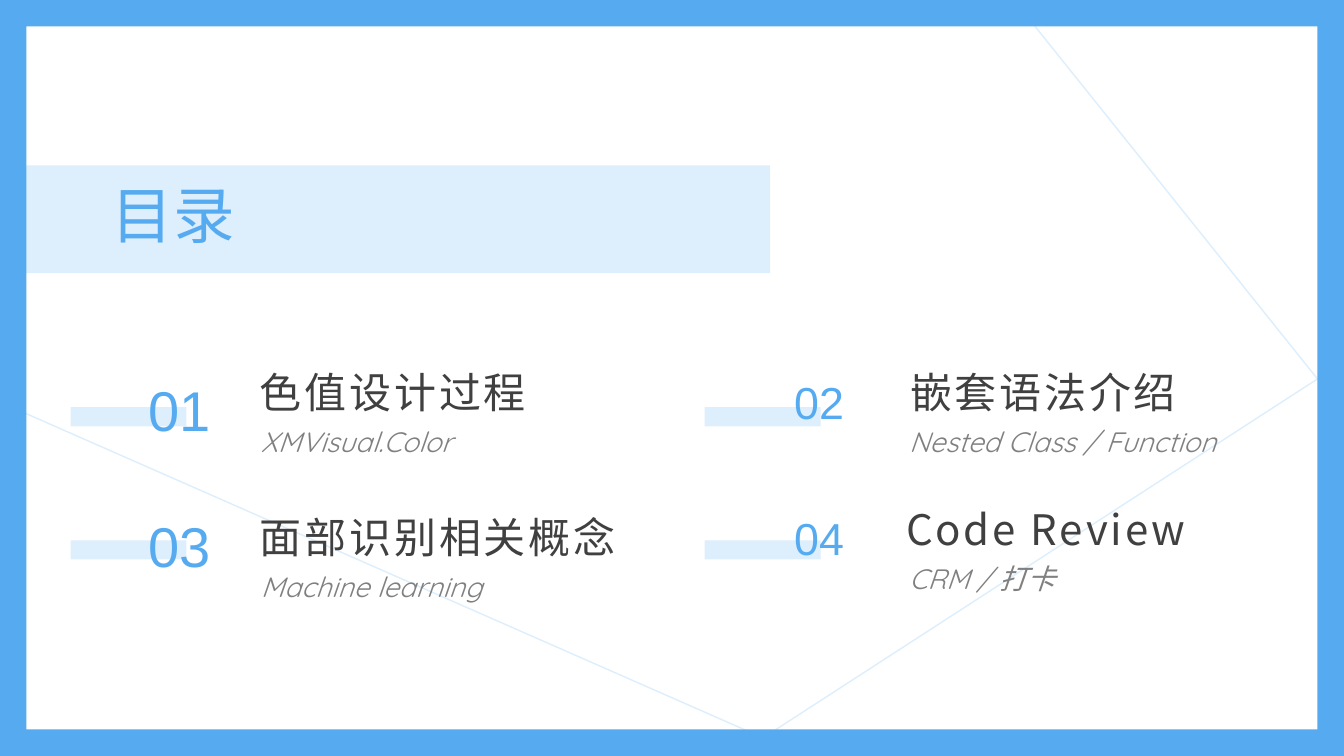
from dataclasses import dataclass

from lxml import etree
from pptx import Presentation
from pptx import util as u
from pptx.dml.color import RGBColor
from pptx.enum import shapes, text
from pptx.oxml.ns import qn


@dataclass(frozen=True)
class Theme:
    width = u.Inches(13.33)
    height = u.Inches(7.5)
    accent = RGBColor.from_string("56ABF0")
    pale = RGBColor.from_string("DDEEFC")
    chinese = "Noto Sans CJK SC"
    title = {"size": u.Pt(44), "name": chinese, "color": accent}
    number_large = {"size": u.Pt(40), "name": "Arial", "color": accent}
    number_small = {"size": u.Pt(32), "name": "Arial", "color": accent}
    heading = {"size": u.Pt(30), "name": chinese,
               "color": RGBColor.from_string("404040")}
    subtitle = {"size": u.Pt(20), "name": "Quicksand", "italic": True,
                "color": RGBColor.from_string("808080")}


THEME = Theme()
BAR_COLUMNS = (5.25, 52.43)
BAR_ROWS = (53.87, 71.47)
NUMBER_COLUMNS = (10.28, 58.35)
NUMBER_ROWS = (50, 68)
SUBTITLE_COLUMNS = (18.68, 66.9)
TOPICS = (
    ("01", "色值设计过程", "XMVisual.Color", 18.6, 48.53),
    ("02", "嵌套语法介绍", "Nested Class / Function", 66.98, 48.53),
    ("03", "面部识别相关概念", "Machine learning", 18.6, 67.73),
    ("04", "Code Review", "CRM / 打卡", 66.68, 66.67),
)


def across(percent):
    return round(THEME.width * percent / 100)


def down(percent):
    return round(THEME.height * percent / 100)


def area(left, top, width, height):
    return across(left), down(top), across(width), down(height)


def set_format(target, values):
    for name, value in values.items():
        setattr(target, name, value)


def write(shape, words, style, anchor=text.MSO_ANCHOR.TOP, tracking=0):
    frame = shape.text_frame
    set_format(frame, {"word_wrap": True, "vertical_anchor": anchor,
                       "auto_size": text.MSO_AUTO_SIZE.SHAPE_TO_FIT_TEXT})
    paragraph = frame.paragraphs[0]
    set_format(paragraph, {"alignment": text.PP_ALIGN.LEFT, "line_spacing": 0.9,
                           "space_before": u.Pt(0)})
    run = paragraph.add_run()
    run.text = words
    set_format(run.font, {name: value for name, value in style.items() if name != "color"})
    run.font.color.rgb = style["color"]
    properties = run._r.get_or_add_rPr()
    if tracking:
        properties.set("spc", str(tracking))
    etree.SubElement(properties, qn("a:ea"), typeface=THEME.chinese)


def add_label(slide, place, words, style, tracking=0):
    write(slide.shapes.add_textbox(*area(*place)), words, style, tracking=tracking)


def add_block(slide, kind, place, color):
    block = slide.shapes.add_shape(kind, *area(*place))
    block.shadow.inherit = False
    block.fill.solid()
    block.fill.fore_color.rgb = color
    block.line.fill.background()
    return block


def add_background_line(slide):
    start, *corners = [(across(x), down(y)) for x, y in (
        (75.68, 0.53), (98.03, 50.13), (56.78, 97.6), (0.68, 53.73))]
    builder = slide.shapes.build_freeform(*start)
    builder.add_line_segments(corners, close=False)
    outline = builder.convert_to_shape()
    outline.shadow.inherit = False
    outline.fill.background()
    outline.line.width = u.Pt(1)
    outline.line.color.rgb = THEME.accent
    color = outline.line._ln.find(".//" + qn("a:srgbClr"))
    etree.SubElement(color, qn("a:alpha"), val="20000")


def add_title(slide, words):
    title = slide.shapes.title
    left, top, width, height = area(7.58, 23.73, 48.68, 10.27)
    set_format(title, {"left": left, "top": top, "width": width, "height": height})
    write(title, words, THEME.title, text.MSO_ANCHOR.MIDDLE)
    slide.shapes._spTree.append(title._element)


def add_topic(slide, index, topic):
    number, heading, subtitle, left, top = topic
    row, column = divmod(index, 2)
    add_block(slide, shapes.MSO_SHAPE.RECTANGLE,
              (BAR_COLUMNS[column], BAR_ROWS[row], 8.63, 2.53), THEME.pale)
    style, height = ((THEME.number_large, 9.47), (THEME.number_small, 7.87))[column]
    add_label(slide, (NUMBER_COLUMNS[column], NUMBER_ROWS[row] - 0.27 * column, 8.33, height),
              number, style)
    add_label(slide, (left, top, 23.55 + 5.55 * row, 7.33), heading, THEME.heading, 200)
    add_label(slide, (SUBTITLE_COLUMNS[column], top + 7.4, 28, 5.33), subtitle, THEME.subtitle)


def main():
    presentation = Presentation()
    set_format(presentation, {"slide_width": THEME.width, "slide_height": THEME.height})
    slide = presentation.slides.add_slide(presentation.slide_layouts[5])
    add_background_line(slide)
    add_block(slide, shapes.MSO_SHAPE.RECTANGLE, (1.95, 21.87, 55.35, 14.27), THEME.pale)
    border = add_block(slide, shapes.MSO_SHAPE.FRAME, (0, 0, 100, 100), THEME.accent)
    border.adjustments[0] = 0.035
    add_title(slide, "目录")
    for index, topic in enumerate(TOPICS):
        add_topic(slide, index, topic)
    presentation.save("out.pptx")


if __name__ == "__main__":
    main()
